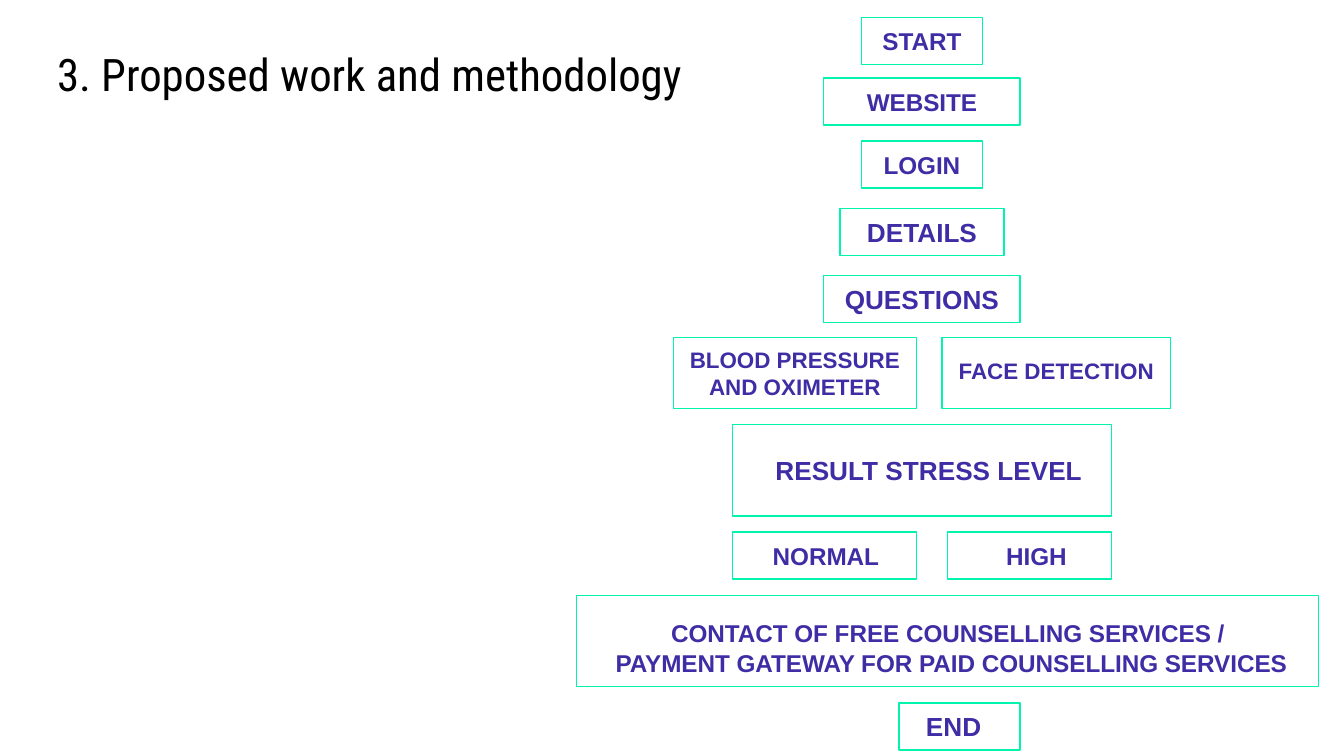
from dataclasses import dataclass

from pptx import Presentation
from pptx.dml.color import RGBColor
from pptx.enum.shapes import MSO_SHAPE as Shape
from pptx.enum.text import MSO_ANCHOR as Anchor, PP_ALIGN as Align
from pptx.util import Inches, Pt


@dataclass(frozen=True)
class Theme:
    title_font: str = "Roboto Condensed"
    box_font: str = "Arial"
    ink: RGBColor = RGBColor(0x00, 0x00, 0x00)
    label: RGBColor = RGBColor(0x3F, 0x2D, 0xA5)
    border: RGBColor = RGBColor(0x00, 0xF4, 0xAD)
    border_width: float = 0.75
    title_size: int = 24
    small: int = 12
    medium: int = 13
    large: int = 14


THEME = Theme()


def write_text(sp, text, font, size, color, bold=False, align=Align.CENTER,
               left=0.1, top=0, bottom=0):
    tf = sp.text_frame
    tf.word_wrap = True
    tf.vertical_anchor = Anchor.MIDDLE
    tf.margin_left, tf.margin_right = Inches(left), Inches(0.1)
    tf.margin_top, tf.margin_bottom = Inches(top), Inches(bottom)
    tf.text = text
    for p in tf.paragraphs:
        p.alignment = align
        for r in p.runs:
            r.font.name, r.font.size, r.font.bold = font, Pt(size), bold
            r.font.color.rgb = color


def add_title(slide, text):
    sp = slide.shapes.add_textbox(Inches(-1.75), Inches(0.37), Inches(9), Inches(0.36))
    write_text(sp, text, THEME.title_font, THEME.title_size, THEME.ink)


def add_step(slide, text, x, y, width, height=0.35, size=THEME.medium, **layout):
    sp = slide.shapes.add_shape(Shape.RECTANGLE, Inches(x), Inches(y),
                                Inches(width), Inches(height))
    sp.shadow.inherit = False
    sp.fill.background()
    sp.line.color.rgb = THEME.border
    sp.line.width = Pt(THEME.border_width)
    write_text(sp, text, THEME.box_font, size, THEME.label, bold=True, **layout)


def add_centered_step(slide, text, y, width, size):
    axis = 6.86
    add_step(slide, text, axis - width / 2, y, width, size=size)


def main():
    # Widescreen, 16:9
    prs = Presentation()
    prs.slide_width, prs.slide_height = Inches(10), Inches(10 * 9 / 16)
    slide = prs.slides.add_slide(prs.slide_layouts[6])

    add_title(slide, "3. Proposed work and methodology")

    # Opening steps, stacked on one axis
    for text, y, width, size in [
        ("START", 0.13, 0.9, THEME.medium),
        ("WEBSITE", 0.58, 1.46, THEME.medium),
        ("LOGIN", 1.05, 0.9, THEME.medium),
        ("DETAILS", 1.55, 1.22, THEME.large),
        ("QUESTIONS", 2.05, 1.46, THEME.large),
    ]:
        add_centered_step(slide, text, y, width, size)

    # Measurements
    add_step(slide, "BLOOD PRESSURE AND OXIMETER", 5.01, 2.51, 1.81, 0.53, THEME.small)
    add_step(slide, "FACE DETECTION", 7.01, 2.51, 1.7, 0.53, THEME.small, bottom=0.03)

    # Result and its two outcomes
    add_step(slide, "RESULT STRESS LEVEL", 5.45, 3.16, 2.82, 0.68, THEME.large, left=0.2)
    add_step(slide, "NORMAL", 5.45, 3.96, 1.37, align=Align.LEFT, left=0.3)
    add_step(slide, "HIGH", 7.05, 3.96, 1.22, left=0.2)

    # Follow-up and end
    add_step(slide, "CONTACT OF FREE COUNSELLING SERVICES /\n"
             " PAYMENT GATEWAY FOR PAID COUNSELLING SERVICES",
             4.29, 4.43, 5.52, 0.68, top=0.1)
    add_step(slide, "END", 6.69, 5.23, 0.9, size=THEME.large, align=Align.LEFT, left=0.2)

    prs.save("out.pptx")


if __name__ == "__main__":
    main()
